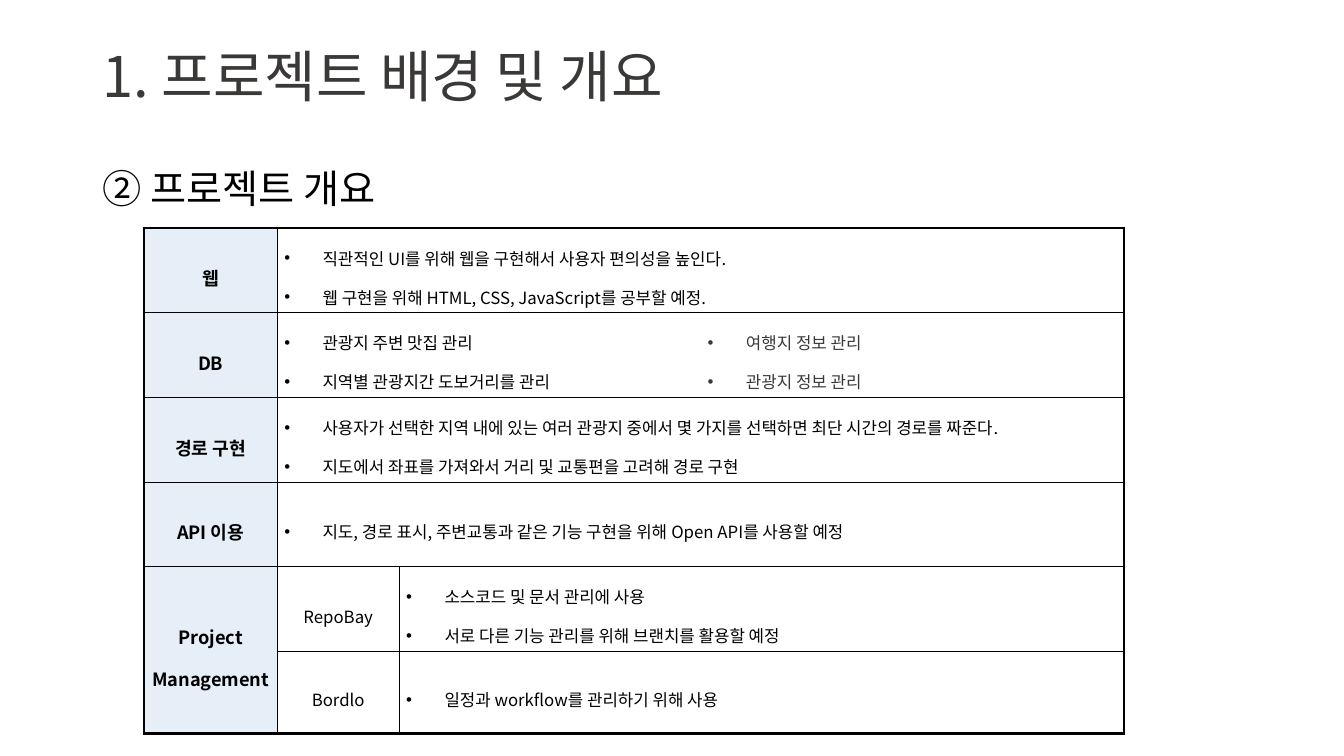
"""Build the project overview slide with its table of planned work."""
from lxml import etree
from pptx import Presentation
from pptx.dml.color import RGBColor
from pptx.enum.text import MSO_ANCHOR, MSO_AUTO_SIZE, PP_ALIGN
from pptx.oxml.ns import qn
from pptx.util import Inches, Pt

TOP, MIDDLE = MSO_ANCHOR.TOP, MSO_ANCHOR.MIDDLE
LEFT, CENTER, JUSTIFY = PP_ALIGN.LEFT, PP_ALIGN.CENTER, PP_ALIGN.JUSTIFY
FIT_SHAPE, NO_FIT = MSO_AUTO_SIZE.SHAPE_TO_FIT_TEXT, MSO_AUTO_SIZE.NONE
BLACK = RGBColor(0x00, 0x00, 0x00)
GRAY = RGBColor(0x3B, 0x38, 0x38)
PALE_BLUE = RGBColor(0xE6, 0xEE, 0xF7)
FONT = "Noto Sans CJK KR"
THICK, THIN = Pt(1.98), Pt(0.28)
COLUMNS = [1.32, 1.21, 2.99, 4.2]
ROWS = [0.84] * 5 + [0.82]

# first row, first column, last row, last column, kind, colour, paragraphs
CELLS = [
    (0, 0, 0, 0, "head", BLACK, ["웹"]),
    (0, 1, 0, 3, "list", BLACK, ["직관적인 UI를 위해 웹을 구현해서 사용자 편의성을 높인다.",
                                 "웹 구현을 위해 HTML, CSS, JavaScript를 공부할 예정."]),
    (1, 0, 1, 0, "head", BLACK, ["DB"]),
    (1, 1, 1, 2, "list", BLACK, ["관광지 주변 맛집 관리", "지역별 관광지간 도보거리를 관리"]),
    (1, 3, 1, 3, "list", GRAY, ["여행지 정보 관리", "관광지 정보 관리"]),
    (2, 0, 2, 0, "head", BLACK, ["경로 구현"]),
    (2, 1, 2, 3, "list", BLACK, [
        "사용자가 선택한 지역 내에 있는 여러 관광지 중에서 몇 가지를 선택하면 최단 시간의 경로를 짜준다.",
        "지도에서 좌표를 가져와서 거리 및 교통편을 고려해 경로 구현"]),
    (3, 0, 3, 0, "head", BLACK, ["API 이용"]),
    (3, 1, 3, 3, "list", BLACK, [
        "지도, 경로 표시, 주변교통과 같은 기능 구현을 위해 Open API를 사용할 예정"]),
    (4, 0, 5, 0, "head", BLACK, ["Project Management"]),
    (4, 1, 4, 1, "tool", BLACK, ["RepoBay"]),
    (4, 2, 4, 3, "list", BLACK, ["소스코드 및 문서 관리에 사용",
                                 "서로 다른 기능 관리를 위해 브랜치를 활용할 예정"]),
    (5, 1, 5, 1, "tool", BLACK, ["Bordlo"]),
    (5, 2, 5, 3, "list", BLACK, ["일정과 workflow를 관리하기 위해 사용"]),
]


def add_run(p, text, size, color, bold=False):
    r = p.add_run()
    r.text = text
    r.font.name = FONT
    r.font.size = Pt(size)
    r.font.bold = bold
    r.font.color.rgb = color
    etree.SubElement(r.font._element, qn("a:ea"), typeface=FONT)


def add_border(cell, side, width):
    tc_pr = cell._tc.get_or_add_tcPr()
    ln = etree.SubElement(tc_pr, qn(f"a:ln{side}"), w=str(width))
    if width:
        fill = etree.SubElement(ln, qn("a:solidFill"))
        etree.SubElement(fill, qn("a:srgbClr"), val=str(BLACK))
    else:
        etree.SubElement(ln, qn("a:noFill"))


prs = Presentation()
prs.slide_width, prs.slide_height = Inches(13.33), Inches(7.5)
s = prs.slides.add_slide(prs.slide_layouts[5])

title = s.shapes.title
title.left, title.top = Inches(0.92), Inches(0.44)
title.width, title.height = Inches(11.5), Inches(1.04)
tf = title.text_frame
tf.vertical_anchor = TOP
tf.auto_size = NO_FIT
p = tf.paragraphs[0]
p.alignment = LEFT
p.line_spacing = 0.9
add_run(p, "1. 프로젝트 배경 및 개요", 40, GRAY)

subtitle = s.shapes.add_textbox(Inches(0.92), Inches(1.58), Inches(3.2), Inches(0.57))
tf = subtitle.text_frame
tf.word_wrap = True
tf.auto_size = FIT_SHAPE
tf.vertical_anchor = MIDDLE
add_run(tf.paragraphs[0], "② 프로젝트 개요", 28, BLACK)

frame = s.shapes.add_table(len(ROWS), len(COLUMNS), Inches(1.43), Inches(2.26),
                           Inches(sum(COLUMNS)), Inches(sum(ROWS)))
table = frame.table
table.first_row = table.horz_banding = False
for column, width in zip(table.columns, COLUMNS):
    column.width = Inches(width)
for row, height in zip(table.rows, ROWS):
    row.height = Inches(height)

for top, left, bottom, right, kind, color, lines in CELLS:
    origin = table.cell(top, left)
    if (top, left) != (bottom, right):
        origin.merge(table.cell(bottom, right))

    borders = {
        "L": THICK if left == 0 else THIN,
        "R": THICK if right == len(COLUMNS) - 1 else THIN,
        "T": THICK if top == 0 else THIN,
        "B": THICK if bottom == len(ROWS) - 1 else THIN,
    }
    if top == 1 and left == 1:
        borders["R"] = 0
    if top == 1 and left == 3:
        borders["L"] = 0
    for row in range(top, bottom + 1):
        for column in range(left, right + 1):
            cell = table.cell(row, column)
            for side, width in borders.items():
                add_border(cell, side, width)
            if kind == "head":
                cell.fill.solid()
                cell.fill.fore_color.rgb = PALE_BLUE
            else:
                cell.fill.background()

    origin.vertical_anchor = MIDDLE
    origin.margin_left = origin.margin_right = Inches(0.07)
    origin.margin_top = origin.margin_bottom = Inches(0.02)
    tf = origin.text_frame
    for i, line in enumerate(lines):
        p = tf.add_paragraph() if i else tf.paragraphs[0]
        p.line_spacing = 1.6
        p.alignment = JUSTIFY if kind == "list" else CENTER
        if kind == "list":
            p_pr = p._p.get_or_add_pPr()
            p_pr.set("marL", str(Inches(0.38)))
            p_pr.set("indent", str(-Inches(0.38)))
            etree.SubElement(p_pr, qn("a:buFont"), typeface="Arial")
            etree.SubElement(p_pr, qn("a:buChar"), char="•")
        add_run(p, line, 13 if kind == "head" else 12, color, kind == "head")

prs.save("out.pptx")
